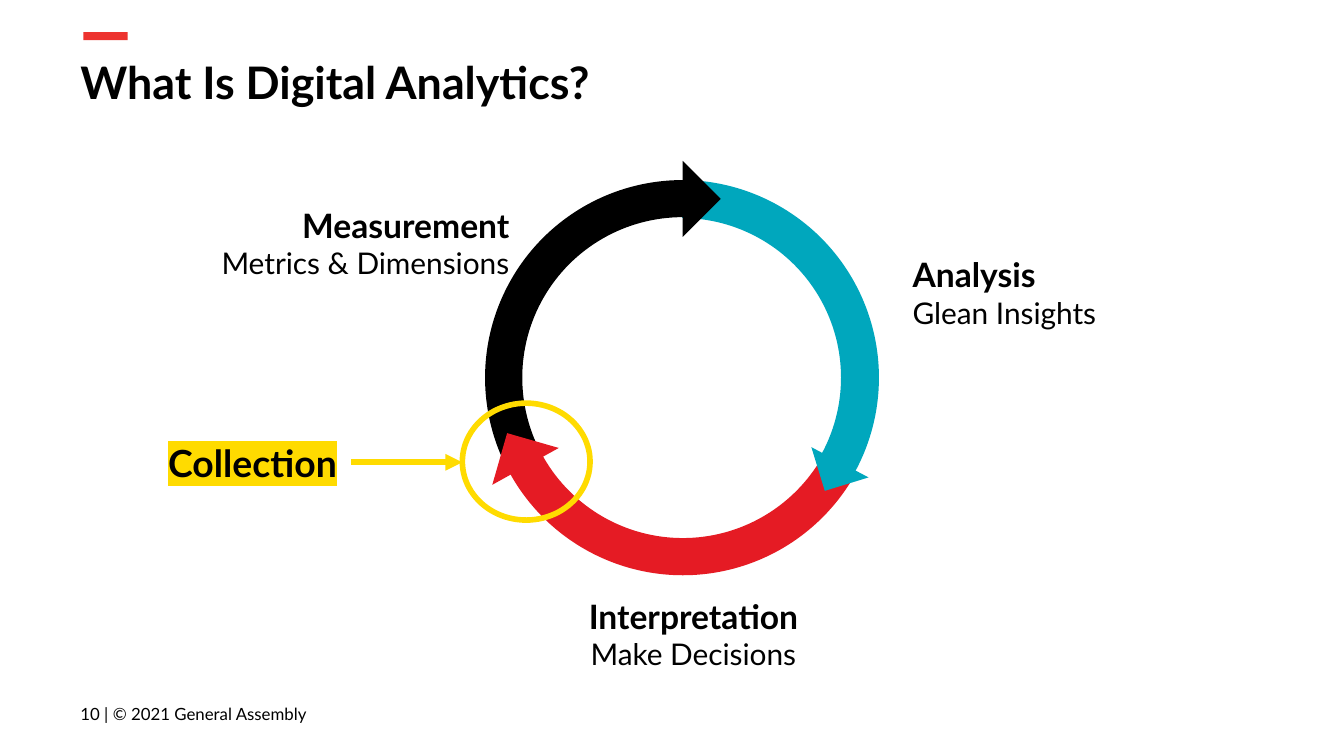
from lxml.etree import SubElement
from pptx import Presentation
from pptx.dml.color import RGBColor
from pptx.enum.shapes import MSO_CONNECTOR, MSO_SHAPE as Shape
from pptx.enum.text import MSO_ANCHOR as Anchor, PP_ALIGN as Align
from pptx.oxml import parse_xml
from pptx.oxml.ns import nsdecls, qn
from pptx.util import Inches, Pt

BLACK = RGBColor(0x00, 0x00, 0x00)
ACCENT = RGBColor(0xED, 0x33, 0x2F)
TEAL = RGBColor(0x00, 0xA7, 0xBD)
RED = RGBColor(0xE5, 0x1B, 0x24)
YELLOW = RGBColor(0xFF, 0xDB, 0x00)
FONT = "Lato"
RING_TOP, RING_SIZE = 1.34, 2.94


def add_filled(slide, kind, box, color, rotation=0):
    sp = slide.shapes.add_shape(kind, *map(Inches, box))
    sp.shadow.inherit = False
    sp.fill.solid()
    sp.fill.fore_color.rgb = color
    sp.line.fill.background()
    sp.rotation = rotation
    return sp


def add_arc(slide, left, color, rotation, adjustments, flip=False):
    box = (left, RING_TOP, RING_SIZE, RING_SIZE)
    sp = add_filled(slide, Shape.BLOCK_ARC, box, color, rotation)
    for i, value in enumerate(adjustments):
        sp.adjustments[i] = value
    if flip:
        sp._element.spPr.find(qn("a:xfrm")).set("flipH", "1")


def add_arrowhead(slide, left, top, size, color, rotation):
    box = (left, top, size, size)
    add_filled(slide, Shape.RIGHT_TRIANGLE, box, color, rotation)


def add_text(slide, box, lines, align=Align.LEFT, anchor=Anchor.MIDDLE, inset=0.05):
    tf = slide.shapes.add_textbox(*map(Inches, box)).text_frame
    tf.word_wrap = True
    tf.vertical_anchor = anchor
    tf.margin_left = tf.margin_right = Inches(inset)
    tf.margin_top = tf.margin_bottom = Inches(inset)
    for i, (text, size, bold) in enumerate(lines):
        p = tf.add_paragraph() if i else tf.paragraphs[0]
        p.text = text
        p.alignment = align
        font = p.runs[0].font
        font.name, font.size, font.bold = FONT, Pt(size), bold
        font.color.rgb = BLACK
    return tf


def add_stage(slide, box, name, detail, align):
    add_text(slide, box, [(name, 18, True), (detail, 16, False)], align)


def highlight(run, color):
    mark = parse_xml(
        f'<a:highlight {nsdecls("a")}><a:srgbClr val="{color}"/></a:highlight>'
    )
    run.font._element.find(qn("a:solidFill")).addnext(mark)


def add_ring(slide, box, color):
    sp = slide.shapes.add_shape(Shape.OVAL, *map(Inches, box))
    sp.shadow.inherit = False
    sp.fill.background()
    sp.line.color.rgb = color
    sp.line.width = Pt(3)


def add_arrow(slide, x1, y1, x2, y2, color):
    ends = map(Inches, (x1, y1, x2, y2))
    line = slide.shapes.add_connector(MSO_CONNECTOR.STRAIGHT, *ends)
    line.line.color.rgb = color
    line.line.width = Pt(3)
    SubElement(line.line._get_or_add_ln(), qn("a:tailEnd"), type="triangle")
    SubElement(line._element.spPr, qn("a:effectLst"))


def add_cycle(slide):
    add_arc(slide, 3.6, TEAL, 30, (144.144, 0.007, 0.096))
    add_arc(slide, 3.61, BLACK, 330, (143.486, 214.729, 0.094), flip=True)
    add_arrowhead(slide, 4.88, 1.28, 0.4, BLACK, 225)
    add_arc(slide, 3.61, RED, 210, (143.162, 215.027, 0.094), flip=True)
    add_arrowhead(slide, 6.08, 3.27, 0.34, TEAL, 342.9)
    add_arrowhead(slide, 3.71, 3.27, 0.4, RED, 106)


def add_collection(slide):
    tf = add_text(slide, (1.16, 3.11, 1.44, 0.67),
                  [("Collection", 20, True)], Align.CENTER)
    highlight(tf.paragraphs[0].runs[0], YELLOW)
    add_ring(slide, (3.44, 3, 0.95, 0.87), YELLOW)
    add_arrow(slide, 2.61, 3.44, 3.44, 3.44, YELLOW)


def main():
    prs = Presentation()
    prs.slide_width = Inches(10)
    prs.slide_height = prs.slide_width * 9 // 16
    slide = prs.slides.add_slide(prs.slide_layouts[6])

    add_filled(slide, Shape.RECTANGLE, (0.62, 0.24, 0.33, 0.06), ACCENT)
    add_text(slide, (0.5, 0.31, 9.32, 0.63),
             [("What Is Digital Analytics?", 24, True)], anchor=Anchor.TOP, inset=0.1)
    add_text(slide, (0.5, 5.1, 2.59, 0.43),
             [("10 | © 2021 General Assembly", 9, False)], inset=0.1)
    add_cycle(slide)
    add_stage(slide, (0.72, 1.47, 3.12, 0.67),
              "Measurement", "Metrics & Dimensions", Align.RIGHT)
    add_stage(slide, (6.74, 1.84, 2.41, 0.67),
              "Analysis", "Glean Insights", Align.LEFT)
    add_stage(slide, (3.6, 4.38, 3.12, 0.67),
              "Interpretation", "Make Decisions", Align.CENTER)
    add_collection(slide)
    prs.save("out.pptx")


if __name__ == "__main__":
    main()
